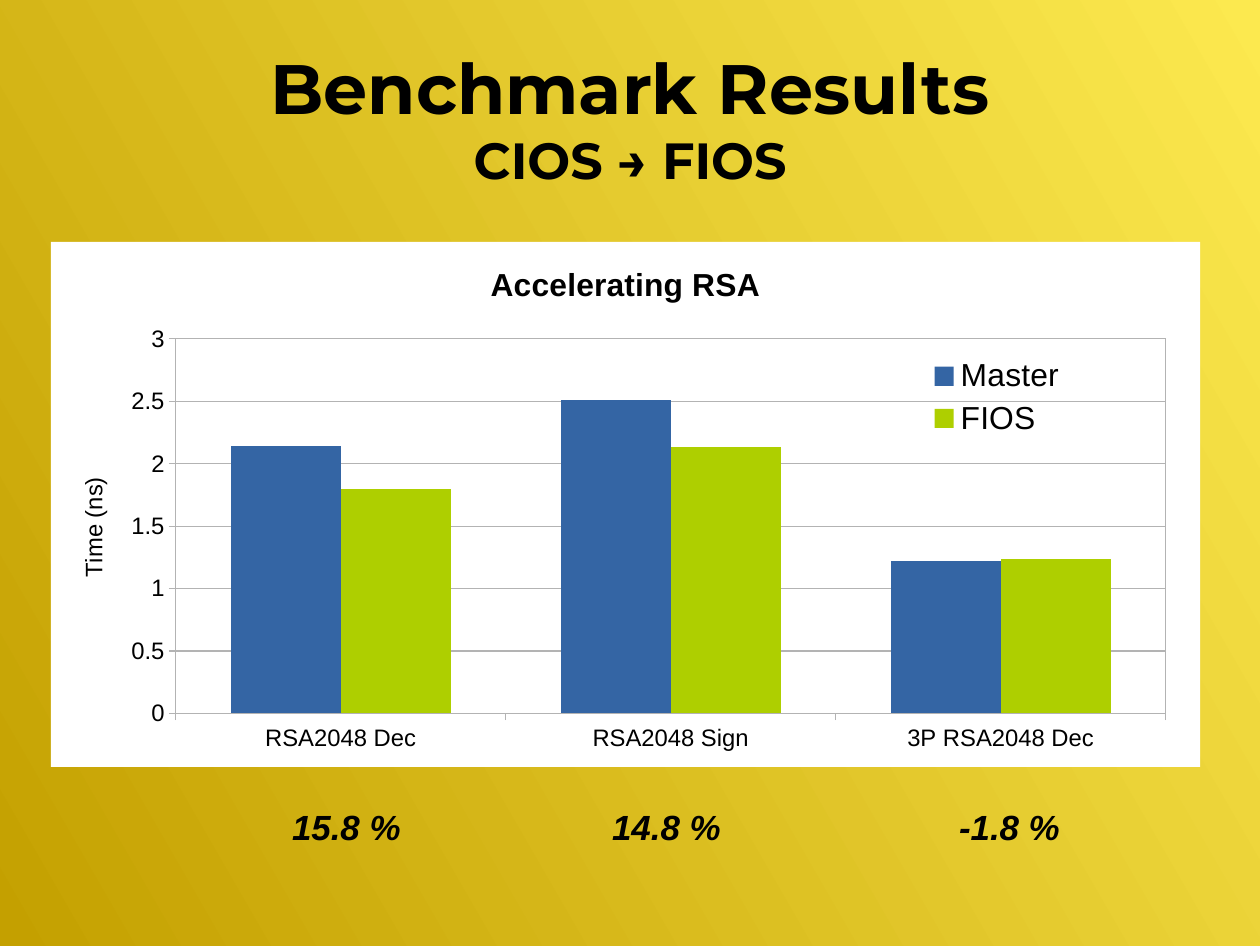
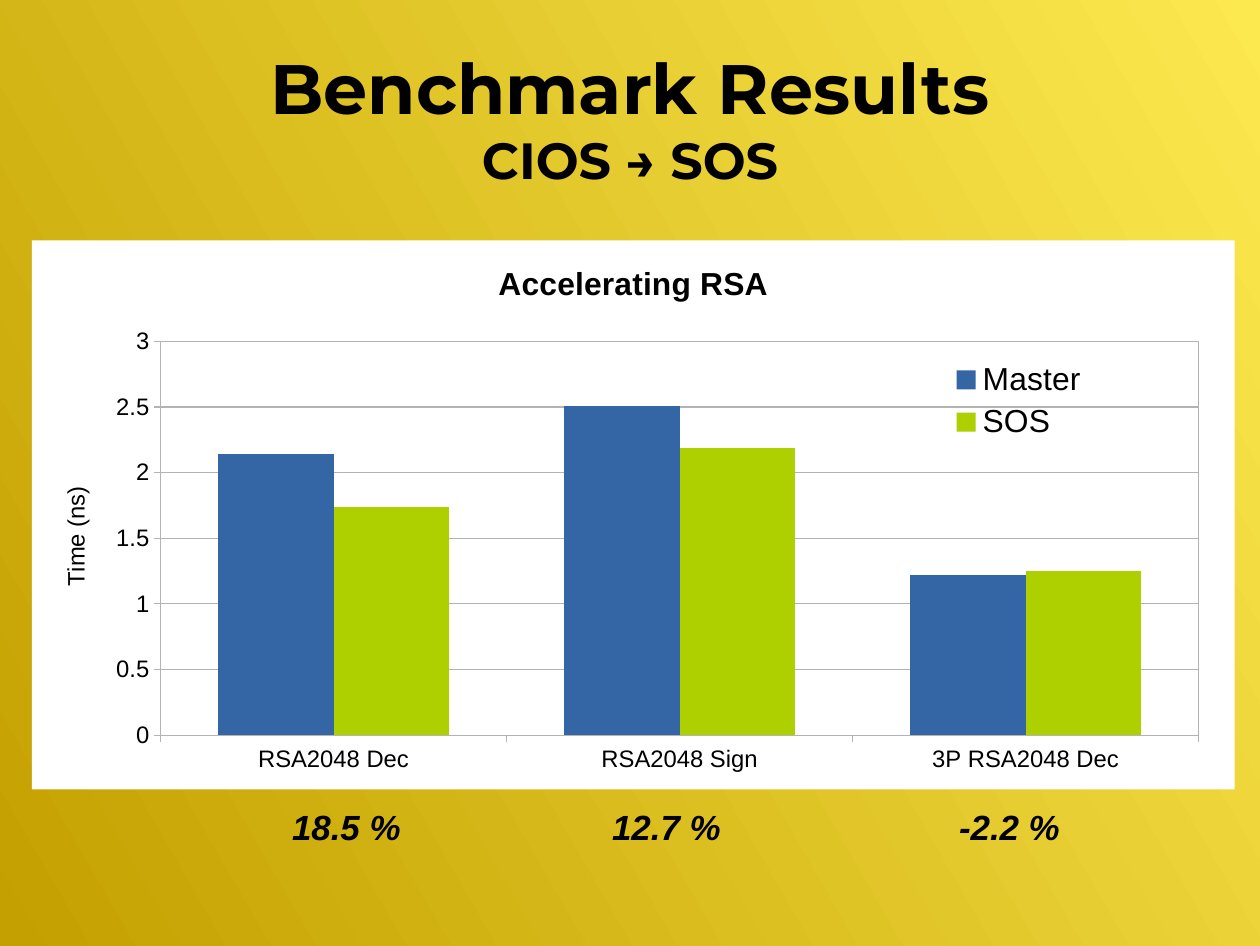
import pptx
import pptx.chart.data
import pptx.dml.color
import pptx.enum.chart
import pptx.enum.text
import pptx.oxml
import pptx.oxml.ns
import pptx.util
from pptx.util import Cm

CATEGORIES = ("RSA2048 Dec", "RSA2048 Sign", "3P RSA2048 Dec")
MASTER_TIMES = (2.14, 2.51, 1.22)
RESULTS = (
    ("FIOS", (1.8, 2.13, 1.24), ("15.8 %", "14.8 %", "-1.8 %"), (1.13, 5.37, 25.53, 11.66)),
    ("SOS", (1.74, 2.19, 1.25), ("18.5 %", "12.7 %", "-2.2 %"), (0.71, 5.34, 26.72, 12.19)),
)
CHANGE_LEFTS = (5.79, 12.9, 20.52)


def rgb(value):
    return pptx.dml.color.RGBColor.from_string(value)


def chart_xml(tag, content):
    return pptx.oxml.parse_xml(
        f'<c:{tag} {pptx.oxml.ns.nsdecls("c", "a")}>{content}</c:{tag}>'
    )


def place(element, index, **fractions):
    for layout in element.findall(pptx.oxml.ns.qn("c:layout")):
        element.remove(layout)
    modes = '<c:xMode val="edge"/><c:yMode val="edge"/>'
    values = "".join(f'<c:{name} val="{value}"/>' for name, value in fractions.items())
    element.insert(index, chart_xml("layout", f"<c:manualLayout>{modes}{values}</c:manualLayout>"))


class Deck:
    black = "000000"
    white = "FFFFFF"
    grey = "B3B3B3"
    gradient = ("FCE94F", "C4A000")
    series_colors = ("3465A4", "AECF00")
    title_font = "Montserrat"
    body_font = "Arial"

    def __init__(self):
        self.presentation = pptx.Presentation()
        self.presentation.slide_width = Cm(27.99)
        self.presentation.slide_height = Cm(21.01)
        fill = self.presentation.slide_master.background.fill
        fill.gradient()
        fill.gradient_angle = 210
        for stop, color, position in zip(fill.gradient_stops, self.gradient, (0, 1)):
            stop.color.rgb = rgb(color)
            stop.position = position

    def style(self, font, size, bold=False, italic=False, name=body_font):
        font.name = name
        font.size = pptx.util.Pt(size)
        font.bold = bold
        font.italic = italic
        font.color.rgb = rgb(self.black)

    def add_slide(self, title, subtitle):
        self.slide = self.presentation.slides.add_slide(self.presentation.slide_layouts[5])
        shape = self.slide.shapes.title
        shape.left, shape.top, shape.width, shape.height = Cm(1.4), Cm(0.84), Cm(25.2), Cm(3.51)
        frame = shape.text_frame
        frame.margin_left = frame.margin_right = frame.margin_top = frame.margin_bottom = 0
        frame.vertical_anchor = pptx.enum.text.MSO_ANCHOR.MIDDLE
        frame.auto_size = pptx.enum.text.MSO_AUTO_SIZE.SHAPE_TO_FIT_TEXT
        paragraph = frame.paragraphs[0]
        paragraph.text = f"{title}\v{subtitle}"
        paragraph.alignment = pptx.enum.text.PP_ALIGN.CENTER
        for run, size in zip(paragraph.runs, (44, 32)):
            self.style(run.font, size, bold=True, name=self.title_font)

    def add_change(self, text, left):
        shape = self.slide.shapes.add_textbox(Cm(left), Cm(17.27), Cm(3.81), Cm(1.68))
        frame = shape.text_frame
        frame.word_wrap = True
        frame.vertical_anchor = pptx.enum.text.MSO_ANCHOR.BOTTOM
        frame.auto_size = pptx.enum.text.MSO_AUTO_SIZE.SHAPE_TO_FIT_TEXT
        paragraph = frame.paragraphs[0]
        paragraph.text = text
        paragraph.alignment = pptx.enum.text.PP_ALIGN.CENTER
        self.style(paragraph.runs[0].font, 22, bold=True, italic=True)

    def add_caption(self, title, text, size, bold=False):
        title.text_frame.text = text
        self.style(title.text_frame.paragraphs[0].runs[0].font, size, bold)

    def add_hairline(self, line):
        line.color.rgb = rgb(self.grey)
        line.width = 0

    def format_axis(self, axis):
        axis.major_tick_mark = pptx.enum.chart.XL_TICK_MARK.OUTSIDE
        axis.minor_tick_mark = pptx.enum.chart.XL_TICK_MARK.NONE
        self.style(axis.tick_labels.font, 15)
        self.add_hairline(axis.format.line)

    def add_column_chart(self, title, axis_title, categories, series, box):
        data = pptx.chart.data.CategoryChartData()
        data.categories = categories
        for name, values in series:
            data.add_series(name, values)
        chart = self.slide.shapes.add_chart(
            pptx.enum.chart.XL_CHART_TYPE.COLUMN_CLUSTERED, *map(Cm, box), data
        ).chart
        self.style(chart.font, 10)
        chart.has_title = True
        self.add_caption(chart.chart_title, title, 20, bold=True)

        value_axis = chart.value_axis
        value_axis.minimum_scale, value_axis.maximum_scale = 0, 3
        value_axis.major_unit = 0.5
        value_axis.has_major_gridlines = True
        self.add_hairline(value_axis.major_gridlines.format.line)
        self.add_caption(value_axis.axis_title, axis_title, 15)
        for axis in (value_axis, chart.category_axis):
            self.format_axis(axis)

        plot = chart.plots[0]
        plot.gap_width = 100
        plot.overlap = 0
        plot.vary_by_categories = False
        for item, color in zip(plot.series, self.series_colors):
            item.format.fill.solid()
            item.format.fill.fore_color.rgb = rgb(color)

        chart.has_legend = True
        chart.legend.position = pptx.enum.chart.XL_LEGEND_POSITION.RIGHT
        chart.legend.include_in_layout = False
        self.style(chart.legend.font, 20)

        chart_element = chart._chartSpace.find(pptx.oxml.ns.qn("c:chart"))
        plot_area = chart_element.find(pptx.oxml.ns.qn("c:plotArea"))
        place(plot_area, 0, x=0.07, y=0.16, w=0.9, h=0.81)
        place(chart_element.find(pptx.oxml.ns.qn("c:legend")), 1, x=0.76, y=0.21)
        place(value_axis.axis_title._element, 1, x=0.02, y=0.44)
        border = f'<a:ln w="0"><a:solidFill><a:srgbClr val="{self.grey}"/></a:solidFill></a:ln>'
        plot_area.append(chart_xml("spPr", f"<a:noFill/>{border}"))
        background = f'<a:solidFill><a:srgbClr val="{self.white}"/></a:solidFill>'
        chart_element.addnext(chart_xml("spPr", f"{background}<a:ln><a:noFill/></a:ln>"))


def main():
    deck = Deck()
    for method, times, changes, box in RESULTS:
        deck.add_slide("Benchmark Results", f"CIOS → {method}")
        series = (("Master", MASTER_TIMES), (method, times))
        deck.add_column_chart("Accelerating RSA", "Time (ns)", CATEGORIES, series, box)
        for change, left in zip(changes, CHANGE_LEFTS):
            deck.add_change(change, left)
    deck.presentation.save("out.pptx")


if __name__ == "__main__":
    main()
